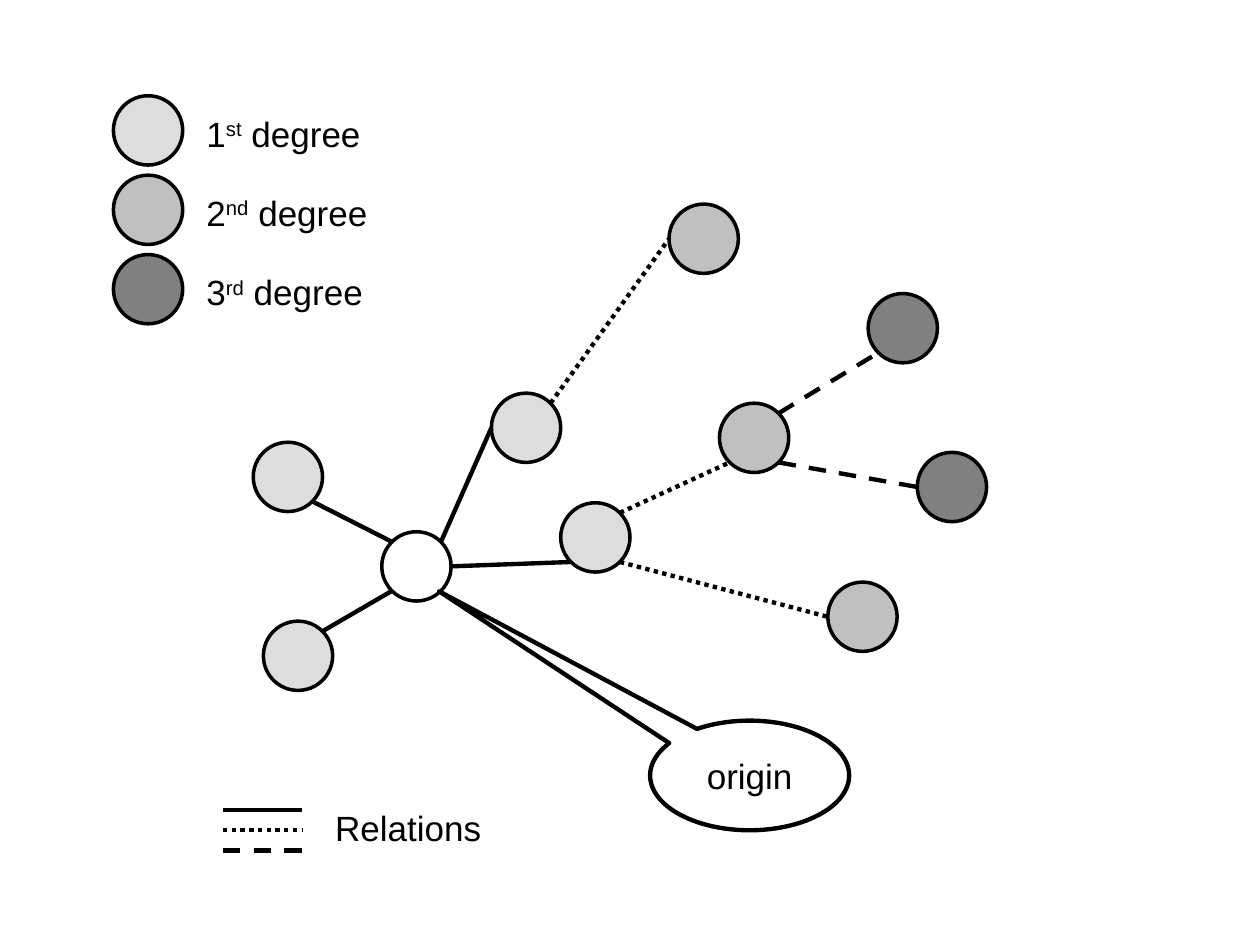
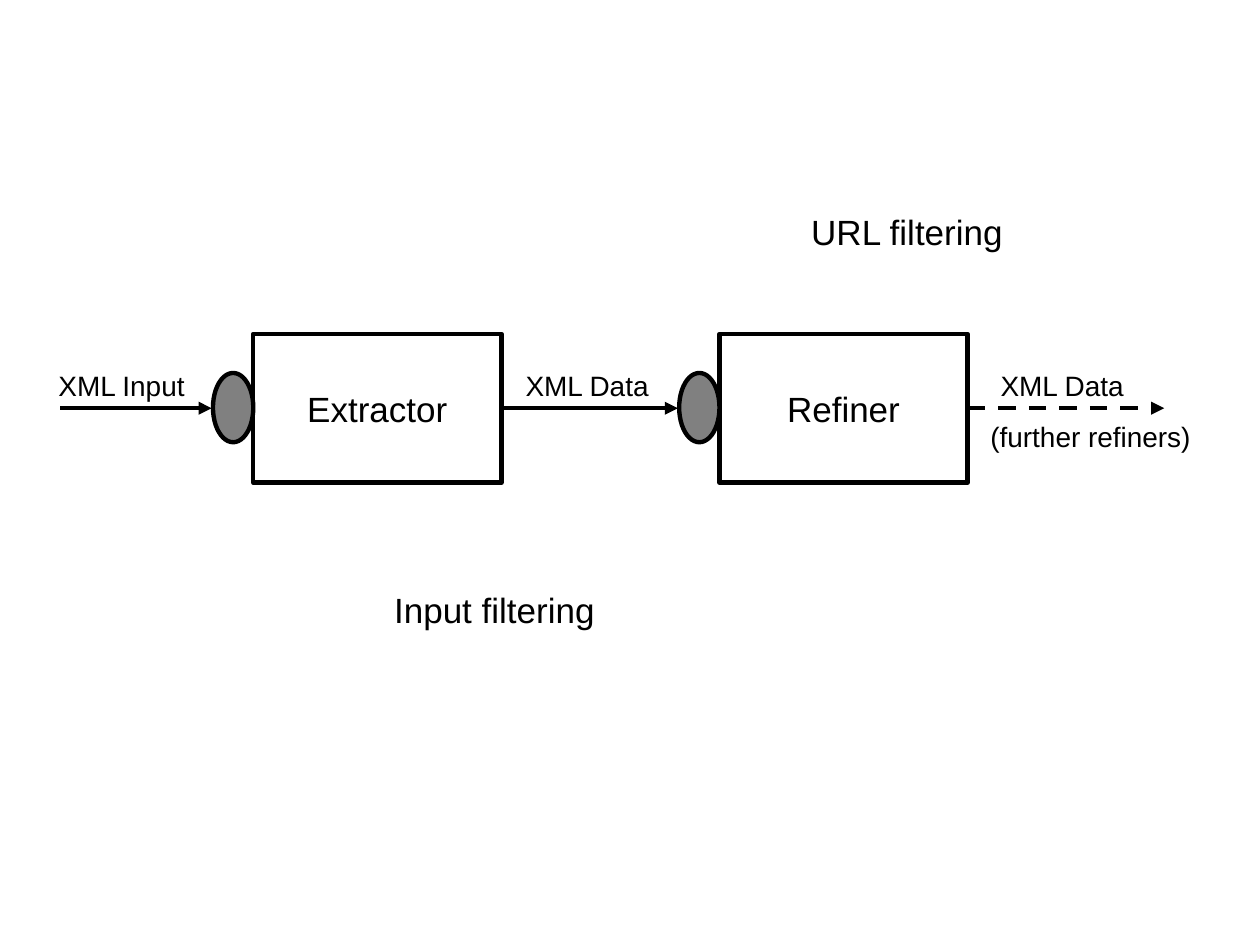
import dataclasses
import pptx
import pptx.dml.color
import pptx.enum.dml
import pptx.enum.shapes
import pptx.enum.text
import pptx.oxml.ns
import pptx.util
from lxml import etree

Inches = pptx.util.Inches
Shape = pptx.enum.shapes.MSO_SHAPE
Dash = pptx.enum.dml.MSO_LINE
Align = pptx.enum.text.PP_ALIGN
Anchor = pptx.enum.text.MSO_ANCHOR
AutoSize = pptx.enum.text.MSO_AUTO_SIZE


@dataclasses.dataclass(frozen=True)
class Theme:
    font: str = "Arial"
    ink: str = "000000"
    first: str = "DDDDDD"
    second: str = "C0C0C0"
    third: str = "808080"
    body: int = 20
    small: int = 16
    thin: float = 2
    thick: float = 2.5


THEME = Theme()
NODE_SIZE = 0.55
DIAGONAL = NODE_SIZE / 2 * 0.71
ANCHORS = {
    "left": (-NODE_SIZE / 2, 0), "right": (NODE_SIZE / 2, 0),
    "ne": (DIAGONAL, -DIAGONAL), "nw": (-DIAGONAL, -DIAGONAL),
    "se": (DIAGONAL, DIAGONAL), "sw": (-DIAGONAL, DIAGONAL),
}
DEGREES = [("1", "st", THEME.first), ("2", "nd", THEME.second), ("3", "rd", THEME.third)]
NODES = {
    "origin": (3.03, 4.22, None),
    "upper": (3.9, 3.12, THEME.first),
    "middle": (4.45, 3.99, THEME.first),
    "lower left": (2.09, 4.93, THEME.first),
    "upper left": (2.01, 3.51, THEME.first),
    "top": (5.31, 1.62, THEME.second),
    "branch": (5.71, 3.2, THEME.second),
    "lower right": (6.57, 4.62, THEME.second),
    "far top": (6.89, 2.33, THEME.third),
    "far right": (7.28, 3.59, THEME.third),
}
DEGREE_DASHES = [None, Dash.ROUND_DOT, Dash.DASH]
SOLID, DOTTED, DASHED = DEGREE_DASHES
RELATIONS = [
    ("origin", "ne", "upper", "left", SOLID),
    ("origin", "sw", "lower left", "ne", SOLID),
    ("origin", "nw", "upper left", "se", SOLID),
    ("origin", "right", "middle", "sw", SOLID),
    ("upper", "ne", "top", "left", DOTTED),
    ("middle", "se", "lower right", "left", DOTTED),
    ("middle", "ne", "branch", "sw", DOTTED),
    ("branch", "ne", "far top", "sw", DASHED),
    ("branch", "se", "far right", "left", DASHED),
]


def rgb(value):
    return pptx.dml.color.RGBColor.from_string(value)


def apply(target, formats):
    for attribute, value in formats.items():
        setattr(target, attribute, value)


def style_line(line, weight, dash=None):
    line.color.rgb = rgb(THEME.ink)
    apply(line, {"width": pptx.util.Pt(weight), "dash_style": dash})


def write(holder, runs, size=THEME.body, align=Align.CENTER, wrap=False,
          anchor=Anchor.MIDDLE, fit=AutoSize.NONE):
    frame = holder.text_frame
    apply(frame, {
        "word_wrap": wrap, "auto_size": fit, "vertical_anchor": anchor,
        "margin_left": Inches(0.1), "margin_right": Inches(0.1),
        "margin_top": Inches(0.05), "margin_bottom": Inches(0.05),
    })
    paragraph = frame.paragraphs[0]
    paragraph.alignment = align
    for words, raised in runs:
        run = paragraph.add_run()
        run.text = words
        apply(run.font, {"name": THEME.font, "size": pptx.util.Pt(size)})
        run.font.color.rgb = rgb(THEME.ink)
        if raised:
            run.font._element.set("baseline", "30000")


def add_figure(slide, kind, box, fill=None, weight=THEME.thick):
    figure = slide.shapes.add_shape(kind, *map(Inches, box))
    figure.shadow.inherit = False
    if fill:
        figure.fill.solid()
        figure.fill.fore_color.rgb = rgb(fill)
    else:
        figure.fill.background()
    style_line(figure.line, weight)
    return figure


def add_node(slide, left, top, fill):
    add_figure(slide, Shape.OVAL, (left, top, NODE_SIZE, NODE_SIZE), fill, THEME.thin)


def add_label(slide, box, runs, size=THEME.body, align=Align.CENTER, wrap=False):
    label = slide.shapes.add_textbox(*map(Inches, box))
    write(label, runs, size, align, wrap, Anchor.TOP, AutoSize.SHAPE_TO_FIT_TEXT)


def add_line(slide, start, end, dash=None, arrow=False):
    line = slide.shapes.add_connector(
        pptx.enum.shapes.MSO_CONNECTOR.STRAIGHT, *map(Inches, (*start, *end)))
    style_line(line.line, THEME.thick, dash)
    qn = pptx.oxml.ns.qn
    if arrow:
        etree.SubElement(line.line._get_or_add_ln(), qn("a:tailEnd"), type="triangle")
    etree.SubElement(line._element.spPr, qn("a:effectLst"))
    return line


def node_point(node, anchor):
    left, top, _ = NODES[node]
    dx, dy = ANCHORS[anchor]
    return left + NODE_SIZE / 2 + dx, top + NODE_SIZE / 2 + dy


def build_degrees(slide):
    for left, top, fill in NODES.values():
        add_node(slide, left, top, fill)
    for source, leaving, target, entering, dash in RELATIONS:
        add_line(slide, node_point(source, leaving), node_point(target, entering), dash)

    callout = add_figure(slide, Shape.OVAL_CALLOUT, (5.16, 5.72, 1.58, 0.87))
    callout.adjustments[0] = -1.56
    callout.adjustments[1] = -1.68
    write(callout, [("origin", False)], wrap=True)

    for row, (number, ordinal, fill) in enumerate(DEGREES):
        top = 0.76 + row * 0.63
        add_node(slide, 0.9, top, fill)
        add_label(slide, (1.54, top + 0.08, 1.6, 0.44),
                  [(number, False), (ordinal, True), (" degree", False)],
                  align=Align.LEFT, wrap=True)

    for row, dash in enumerate(DEGREE_DASHES):
        height = 6.43 + row * 0.16
        add_line(slide, (1.77, height), (2.4, height), dash)
    add_label(slide, (2.56, 6.35, 1.36, 0.44), [("Relations", False)])


def add_stage(slide, left, name):
    stage = add_figure(slide, Shape.FLOWCHART_PROCESS, (left, 2.65, 1.97, 1.18))
    write(stage, [(name, False)])
    add_figure(slide, Shape.OVAL, (left - 0.32, 2.96, 0.32, NODE_SIZE), THEME.third)
    return stage


def build_pipeline(slide):
    flow = 3.24
    extractor = add_stage(slide, 2.01, "Extractor")
    refiner = add_stage(slide, 5.71, "Refiner")
    add_line(slide, (0.48, flow), (1.68, flow), arrow=True)
    to_refiner = add_line(slide, (3.98, flow), (5.38, flow), arrow=True)
    to_refiner.begin_connect(extractor, 3)
    onward = add_line(slide, (7.68, flow), (9.24, flow), DASHED, arrow=True)
    onward.begin_connect(refiner, 3)

    for left, top, width, words in [
        (0.36, 2.88, 1.21, "XML Input"),
        (4.07, 2.88, 1.18, "XML Data"),
        (7.84, 2.88, 1.18, "XML Data"),
        (7.76, 3.28, 1.79, "(further refiners)"),
    ]:
        add_label(slide, (left, top, width, 0.37), [(words, False)], THEME.small)
    for left, top, words in [(6.34, 1.62, "URL filtering"), (3.03, 4.62, "Input filtering")]:
        add_label(slide, (left, top, 1.97, 0.44), [(words, False)],
                  align=Align.LEFT, wrap=True)


def main():
    deck = pptx.Presentation()
    apply(deck, {"slide_width": Inches(10), "slide_height": Inches(7.5)})
    blank = deck.slide_layouts[6]
    for build in (build_degrees, build_pipeline):
        build(deck.slides.add_slide(blank))
    deck.save("out.pptx")


if __name__ == "__main__":
    main()
